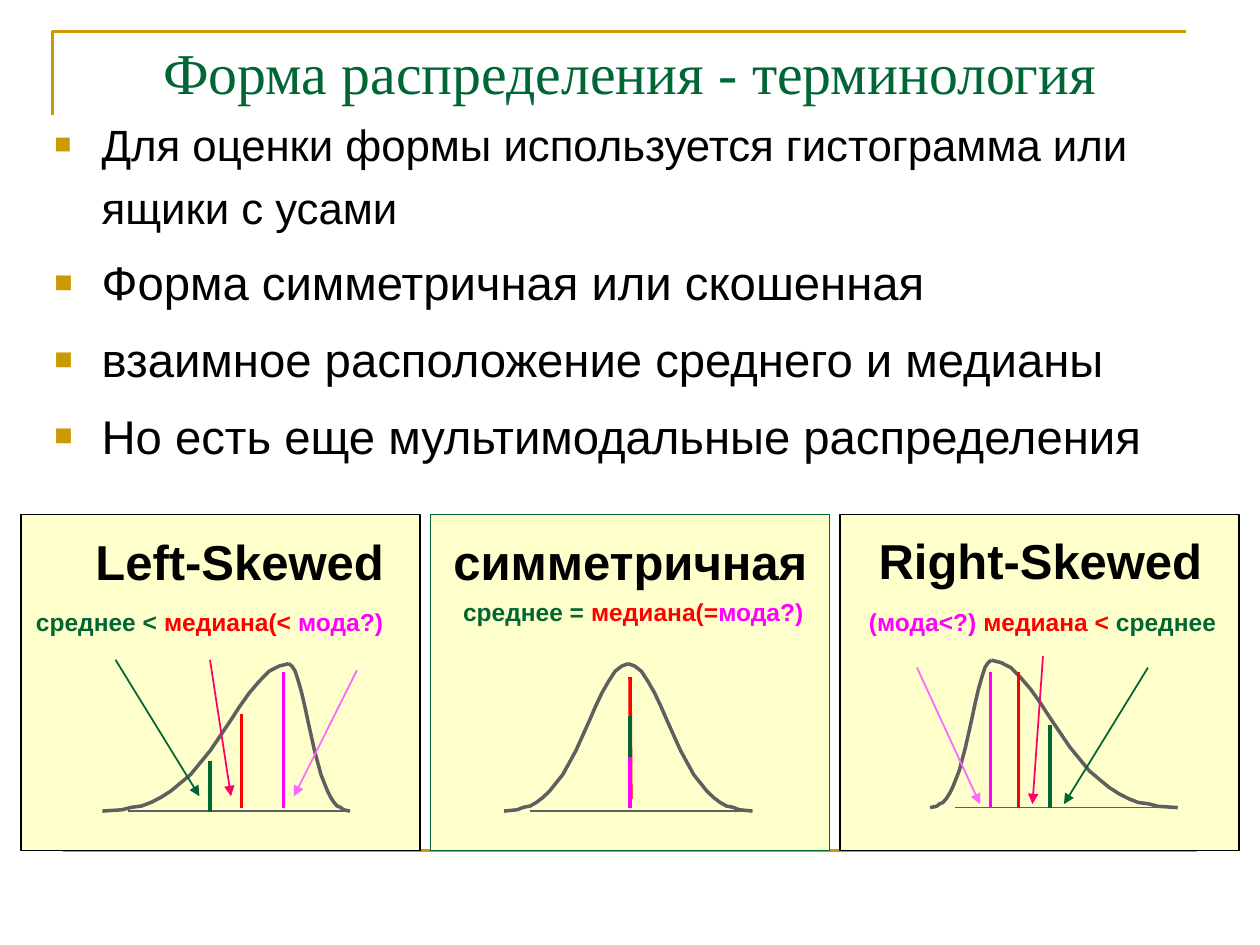
from lxml.etree import SubElement
from pptx import Presentation
from pptx.dml.color import RGBColor
from pptx.enum.shapes import MSO_CONNECTOR as Conn, MSO_SHAPE as Shape
from pptx.enum.text import MSO_ANCHOR as Anchor, PP_ALIGN as Align
from pptx.oxml.ns import qn
from pptx.util import Pt

GOLD = RGBColor(0xCC, 0x99, 0x00)
CREAM = RGBColor(0xFF, 0xFF, 0xCC)
GREEN = RGBColor(0x00, 0x66, 0x33)
BLACK = RGBColor(0x00, 0x00, 0x00)
RED = RGBColor(0xFF, 0x00, 0x00)
MAGENTA = RGBColor(0xFF, 0x00, 0xFF)
PINK = RGBColor(0xFF, 0x66, 0xFF)
CRIMSON = RGBColor(0xFF, 0x00, 0x66)
GREY = RGBColor(0x5F, 0x5F, 0x5F)

# Half of a bell: steps from foot to peak (of 19), rise in hundredths of an inch
STEPS = (0, 2, 3, 4, 5, 6, 7, 9, 11, 13, 14, 15, 16, 17, 18, 19)
RISES = (0, 1, 3, 4, 7, 11, 16, 29, 48, 71, 83, 94, 103, 111, 115, 117)

BULLETS = [
    [("Для оценки формы используется гистограмма или ящики с усами", 25), (" ", 27)],
    [("Форма симметричная или скошенная", 27)],
    [("взаимное расположение среднего и медианы", 27)],
    [("Но есть еще мультимодальные распределения", 27)],
]

# Per panel: boxes are left, top, width; curve is foot, peak, foot;
# bars and arrows are x1, y1, x2, y2, colour
PANELS = [
    dict(edge=BLACK, heading="Left-Skewed", heading_box=(47.5, 300, 179.5),
         caption_box=(13.5, 343.5, 213),
         caption=[("среднее < ", GREEN), ("медиана(< ", RED), ("мода?)", MAGENTA)],
         curve=(58.5, 165, 200), base=463.5,
         bars=[(162, 384, 162, 462, MAGENTA), (138, 408, 138, 462, RED),
               (120, 435, 120, 464, GREEN)],
         arrows=[(204, 383, 168, 455, PINK), (120, 377, 132, 455, CRIMSON),
                 (66, 377, 114, 455, GREEN)]),
    dict(edge=GREEN, heading="симметричная", heading_box=(252, 300, 221),
         caption_box=(257.5, 337.5, 209),
         caption=[("среднее = ", GREEN), ("медиана(=", RED), ("мода?)", MAGENTA)],
         curve=(288, 359, 430), base=463.5,
         bars=[(360, 387, 360.5, 456.5, RED), (360, 409, 360, 450, GREEN),
               (360, 432.5, 360, 462, MAGENTA)],
         arrows=[]),
    dict(edge=BLACK, heading="Right-Skewed", heading_box=(495, 299.5, 199.5),
         caption_box=(489.5, 343.5, 213),
         caption=[("(мода<?) ", MAGENTA), ("медиана < ", RED), ("среднее", GREEN)],
         curve=(531.5, 566.5, 673), base=461.5,
         bars=[(566, 384, 566, 462, MAGENTA), (582, 384, 582, 462, RED),
               (600, 414, 600, 462, GREEN)],
         arrows=[(524, 381.5, 560, 459.5, PINK), (596, 375, 590, 459.5, CRIMSON),
                 (656, 381.5, 608, 459.5, GREEN)]),
]


def set_attrs(obj, **values):
    for name, value in values.items():
        setattr(obj, name, value)


def add_run(p, text, size, color, name="Arial", bold=False):
    r = p.add_run()
    r.text = text
    set_attrs(r.font, size=Pt(size), name=name, bold=bold)
    r.font.color.rgb = color


def set_line(sp, color, width):
    sp.line.color.rgb = color
    sp.line.width = Pt(width)


def add_line(s, x1, y1, x2, y2, color, width, arrow=False):
    sp = s.shapes.add_connector(Conn.STRAIGHT, Pt(x1), Pt(y1), Pt(x2), Pt(y2))
    set_line(sp, color, width)
    if arrow:
        SubElement(sp.line._get_or_add_ln(), qn("a:tailEnd"), type="triangle")
    SubElement(sp._element.spPr, qn("a:effectLst"))


def add_path(s, points, color, width):
    points = [(Pt(x), Pt(y)) for x, y in points]
    builder = s.shapes.build_freeform(*points[0])
    builder.add_line_segments(points[1:], close=False)
    sp = builder.convert_to_shape()
    sp.shadow.inherit = False
    sp.fill.background()
    set_line(sp, color, width)


def add_half_bell(s, foot, peak, base):
    add_path(s, [(foot + (peak - foot) * step / 19, base - rise * 0.72)
                 for step, rise in zip(STEPS, RISES)], GREY, 2)


def add_text(s, left, top, width, height, wrap=False):
    tf = s.shapes.add_textbox(Pt(left), Pt(top), Pt(width), Pt(height)).text_frame
    tf.word_wrap = wrap
    return tf


def add_bullets(s):
    tf = add_text(s, 24, 60, 678, 444, wrap=True)
    for i, runs in enumerate(BULLETS):
        p = tf.add_paragraph() if i else tf.paragraphs[0]
        set_attrs(p, line_spacing=1.12, space_before=Pt(7.5))
        for text, size in runs:
            add_run(p, text, size, BLACK)
        pPr = p._p.get_or_add_pPr()
        pPr.set("marL", str(Pt(27)))
        pPr.set("indent", str(-Pt(27)))
        SubElement(SubElement(pPr, qn("a:buClr")), qn("a:srgbClr"), val=str(GOLD))
        SubElement(pPr, qn("a:buSzPct"), val="65000")
        SubElement(pPr, qn("a:buFont"), typeface="Arial")
        SubElement(pPr, qn("a:buChar"), char="■")


def add_title(s):
    sp = s.shapes.title
    set_attrs(sp, left=Pt(36), top=Pt(21.5), width=Pt(648), height=Pt(42.5))
    set_attrs(sp.text_frame, vertical_anchor=Anchor.BOTTOM, word_wrap=True)
    p = sp.text_frame.paragraphs[0]
    set_attrs(p, alignment=Align.CENTER, line_spacing=0.8)
    add_run(p, "Форма распределения - терминология", 33, GREEN, "Times New Roman")


def add_panel(s, left, panel):
    # Card
    sp = s.shapes.add_shape(Shape.RECTANGLE, Pt(left), Pt(294), Pt(228), Pt(192))
    sp.shadow.inherit = False
    sp.fill.solid()
    sp.fill.fore_color.rgb = CREAM
    set_line(sp, panel["edge"], 0.75)

    # Density curve on its axis
    start, peak, end = panel["curve"]
    base = panel["base"]
    for foot in (start, end):
        add_half_bell(s, foot, peak, base)
    add_line(s, end - 127, base, end - 1.5, base, GREY, 1)

    # Mean, median and mode bars with their arrows
    for bar in panel["bars"]:
        add_line(s, *bar, width=2)
    for arrow in panel["arrows"]:
        add_line(s, *arrow, width=1, arrow=True)

    # Heading and caption
    tf = add_text(s, *panel["heading_box"], 40.5)
    add_run(tf.paragraphs[0], panel["heading"], 28, BLACK, bold=True)
    tf = add_text(s, *panel["caption_box"], 24)
    for text, color in panel["caption"]:
        add_run(tf.paragraphs[0], text, 14, color, bold=True)


def main():
    prs = Presentation()
    set_attrs(prs, slide_width=Pt(720), slide_height=Pt(540))
    s = prs.slides.add_slide(prs.slide_layouts[5])

    # Gold frame
    add_path(s, [(30, 66), (30, 18), (678, 18)], GOLD, 1.5)
    add_line(s, 36, 486, 684, 486, GOLD, 1.5)

    add_title(s)
    add_bullets(s)
    for i, panel in enumerate(PANELS):
        add_panel(s, 12 + 234 * i, panel)
    prs.save("out.pptx")


if __name__ == "__main__":
    main()
